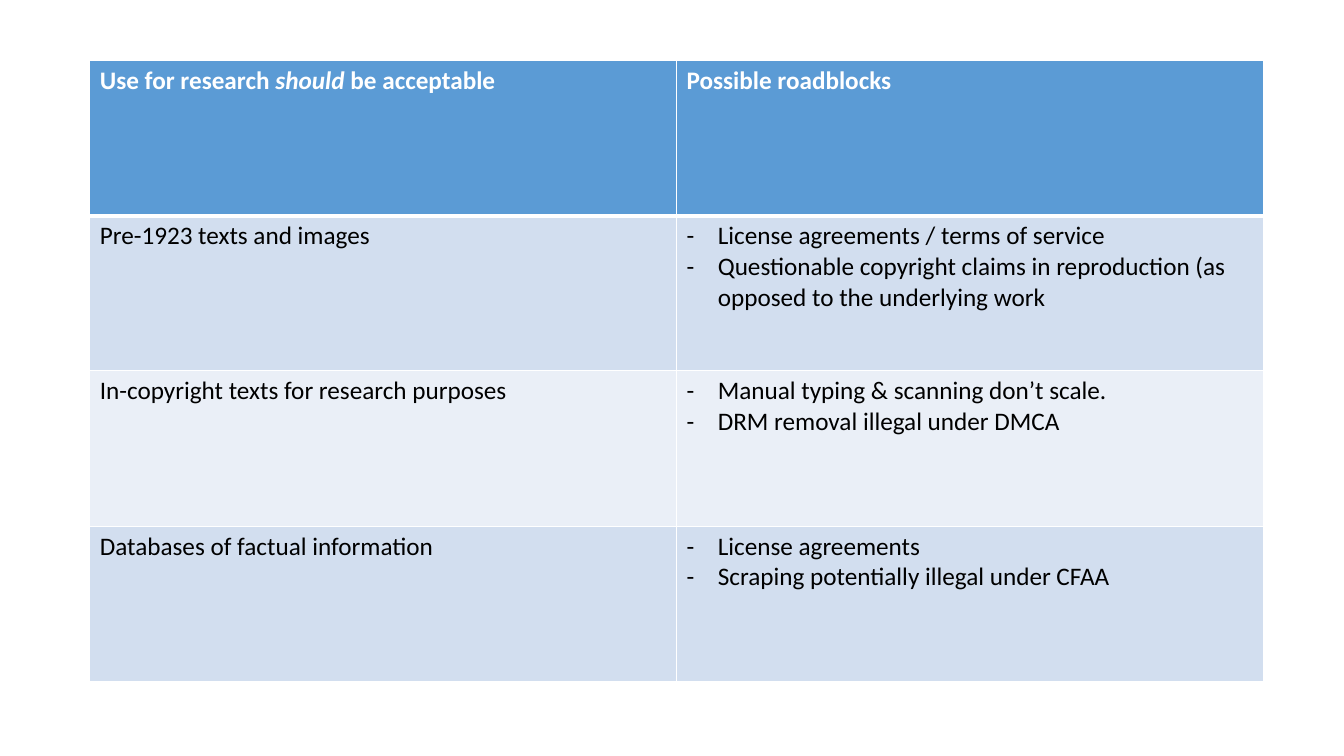
import dataclasses
import typing

import lxml.etree
import pptx
import pptx.dml.color
import pptx.oxml.ns
import pptx.util

Inches = pptx.util.Inches
qn = pptx.oxml.ns.qn

WHITE, BLACK = "FFFFFF", "000000"
HEADER_BLUE, BAND_DARK, BAND_LIGHT = "5B9BD5", "D2DEEF", "EAEFF7"
TABLE_LEFT, TABLE_TOP = Inches(0.89), Inches(0.6)
COLUMN_WIDTH, ROW_HEIGHT = Inches(5.82), Inches(1.54)
HANGING_INDENT = Inches(0.31)
THIN, THICK = pptx.util.Pt(1), pptx.util.Pt(3)
BODY_FORMAT = {"name": "Calibri", "size": pptx.util.Pt(18), "bold": False, "italic": False}
HEADER_FORMAT = {**BODY_FORMAT, "bold": True}
EMPHASIS_FORMAT = {**HEADER_FORMAT, "italic": True}


@dataclasses.dataclass(frozen=True)
class Phrase:
    text: str
    style: dict[str, typing.Any] = dataclasses.field(default_factory=lambda: BODY_FORMAT)
    color: str = BLACK


@dataclasses.dataclass(frozen=True)
class Entry:
    paragraphs: list[list[Phrase]]
    dashed: bool = False


def rgb(value: str) -> pptx.dml.color.RGBColor:
    return pptx.dml.color.RGBColor.from_string(value)


def heading(*parts: tuple[str, dict[str, typing.Any]]) -> Entry:
    return Entry([[Phrase(text, style, WHITE) for text, style in parts]])


def material(text: str) -> Entry:
    return Entry([[Phrase(text)]])


def roadblocks(*texts: str) -> Entry:
    return Entry([[Phrase(text)] for text in texts], dashed=True)


def add_dash(paragraph) -> None:
    properties = paragraph._p.get_or_add_pPr()
    properties.set("marL", str(HANGING_INDENT))
    properties.set("indent", str(-HANGING_INDENT))
    lxml.etree.SubElement(properties, qn("a:buFont"), typeface="Calibri")
    lxml.etree.SubElement(properties, qn("a:buChar"), char="-")


def add_borders(cell, widths: dict[str, int]) -> None:
    properties = cell._tc.get_or_add_tcPr()
    for side, width in widths.items():
        border = lxml.etree.SubElement(properties, qn(f"a:ln{side}"), w=str(width))
        fill = lxml.etree.SubElement(border, qn("a:solidFill"))
        lxml.etree.SubElement(fill, qn("a:srgbClr"), val=WHITE)


def write_entry(cell, entry: Entry) -> None:
    frame = cell.text_frame
    for index, phrases in enumerate(entry.paragraphs):
        paragraph = frame.add_paragraph() if index else frame.paragraphs[0]
        if entry.dashed:
            add_dash(paragraph)
        for phrase in phrases:
            run = paragraph.add_run()
            run.text = phrase.text
            for attribute, value in phrase.style.items():
                setattr(run.font, attribute, value)
            run.font.color.rgb = rgb(phrase.color)


def row_fill(row: int) -> str:
    if row == 0:
        return HEADER_BLUE
    return BAND_DARK if row % 2 else BAND_LIGHT


def draw_cell(cell, entry: Entry, row: int) -> None:
    add_borders(cell, {
        "L": THIN,
        "R": THIN,
        "T": THICK if row == 1 else THIN,
        "B": THICK if row == 0 else THIN,
    })
    cell.fill.solid()
    cell.fill.fore_color.rgb = rgb(row_fill(row))
    write_entry(cell, entry)


research_uses = [
    [
        heading(
            ("Use for research ", HEADER_FORMAT),
            ("should", EMPHASIS_FORMAT),
            (" be acceptable", HEADER_FORMAT),
        ),
        heading(("Possible roadblocks", HEADER_FORMAT)),
    ],
    [
        material("Pre-1923 texts and images"),
        roadblocks(
            "License agreements / terms of service",
            "Questionable copyright claims in reproduction (as opposed to the underlying work",
        ),
    ],
    [
        material("In-copyright texts for research purposes"),
        roadblocks("Manual typing & scanning don’t scale.", "DRM removal illegal under DMCA"),
    ],
    [
        material("Databases of factual information"),
        roadblocks("License agreements", "Scraping potentially illegal under CFAA"),
    ],
]

presentation = pptx.Presentation()
presentation.slide_width = Inches(13.33)
presentation.slide_height = Inches(7.5)
slide = presentation.slides.add_slide(presentation.slide_layouts.get_by_name("Blank"))

row_count, column_count = len(research_uses), len(research_uses[0])
roadblock_table = slide.shapes.add_table(
    row_count, column_count, TABLE_LEFT, TABLE_TOP,
    COLUMN_WIDTH * column_count, ROW_HEIGHT * row_count,
).table
for row, entries in enumerate(research_uses):
    for column, entry in enumerate(entries):
        draw_cell(roadblock_table.cell(row, column), entry, row)

presentation.save("out.pptx")
